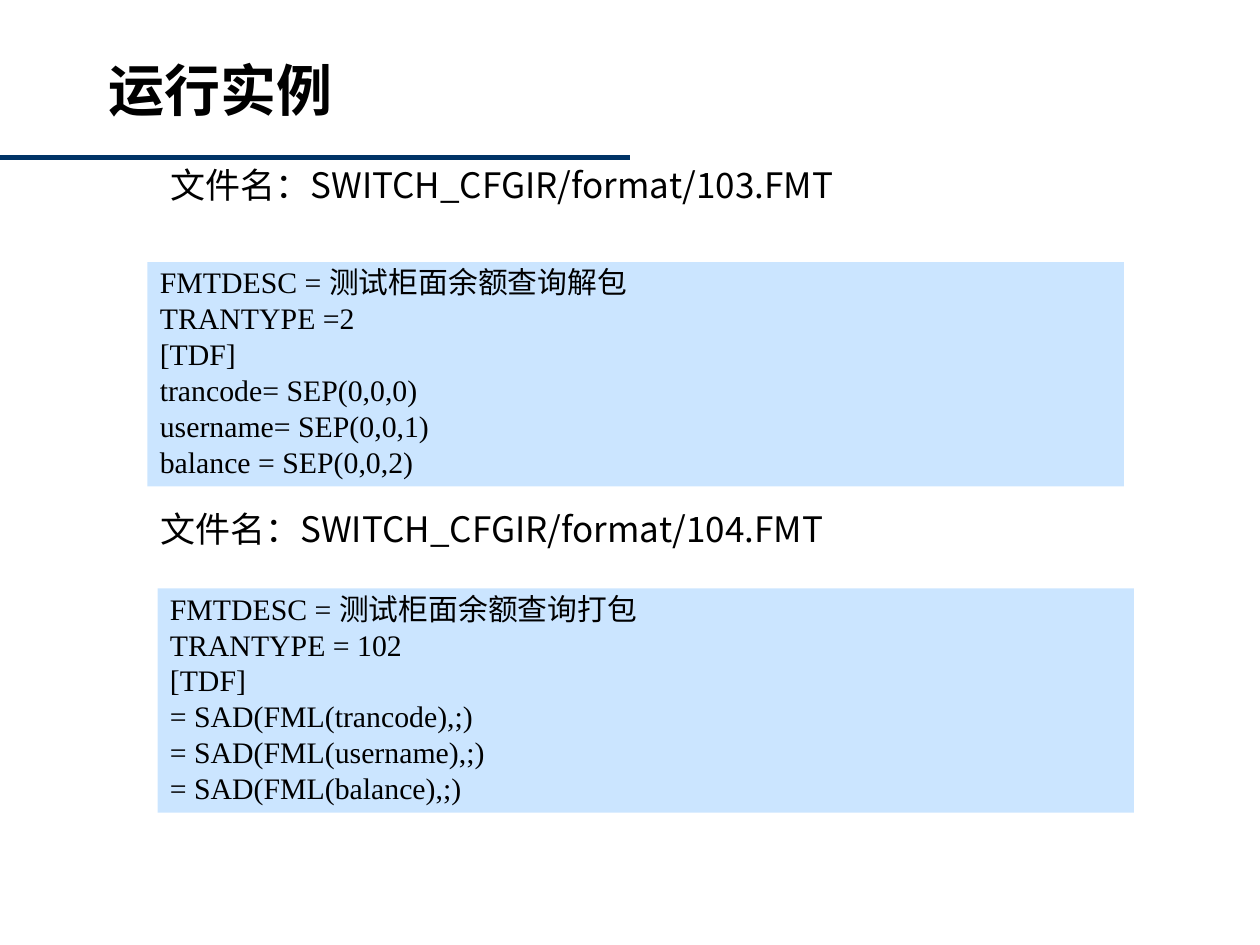
from pptx import Presentation
from pptx.util import Inches, Pt
from pptx.dml.color import RGBColor as RGB
from pptx.enum.shapes import MSO_SHAPE as Kind, MSO_CONNECTOR as Link
from pptx.enum.text import PP_ALIGN as Align, MSO_ANCHOR as Anchor
from pptx.oxml.ns import qn
from lxml.etree import SubElement as Sub

TITLE = "运行实例"
LABEL = "文件名："
FILES = [
    {
        "name": "SWITCH_CFGIR/format/103.FMT",
        "head": (0.75, 1.25),
        "code": (1.17, 2.08),
        "lines": [
            "FMTDESC = 测试柜面余额查询解包",
            "TRANTYPE =2",
            "[TDF]",
            "trancode= SEP(0,0,0)",
            "username= SEP(0,0,1)",
            "balance = SEP(0,0,2)",
        ],
    },
    {
        "name": "SWITCH_CFGIR/format/104.FMT",
        "head": (0.67, 3.98),
        "code": (1.25, 4.67),
        "lines": [
            "FMTDESC = 测试柜面余额查询打包",
            "TRANTYPE = 102",
            "[TDF]",
            "= SAD(FML(trancode),;)",
            "= SAD(FML(username),;)",
            "= SAD(FML(balance),;)",
        ],
    },
]
THEME = {
    "ink": RGB.from_string("000000"),
    "rule": RGB.from_string("003366"),
    "panel": RGB.from_string("99CCFF"),
    "serif": "Times New Roman",
    "sans": "Noto Sans CJK SC",
    "title": Pt(32),
    "head": Pt(20),
    "code": Pt(17),
}
HEAD = (7.08, 0.44)
CODE = (7.75, 1.78)


def style(font, size, bold=False):
    font.name = THEME["serif"]
    font.size = THEME[size]
    font.bold = bold
    font.color.rgb = THEME["ink"]


def add_text(slide, at, size):
    box = slide.shapes.add_textbox(*map(Inches, at + size))
    box.text_frame.word_wrap = True
    return box.text_frame


def add_title(slide):
    frame = add_text(slide, (0, 0.42), (3.5, 0.58))
    frame.vertical_anchor = Anchor.MIDDLE
    para = frame.paragraphs[0]
    para.text = TITLE
    para.alignment = Align.CENTER
    style(para.font, "title", True)


def add_rule(slide):
    ends = map(Inches, (0, 1.25, 5, 1.25))
    rule = slide.shapes.add_connector(Link.STRAIGHT, *ends)
    rule.line.color.rgb = THEME["rule"]
    rule.line.width = Pt(3)
    Sub(rule._element.spPr, qn("a:effectLst"))


def add_head(slide, file):
    frame = add_text(slide, file["head"], HEAD)
    frame.margin_left = Inches(0.6)
    para = frame.paragraphs[0]
    style(para.font, "head")
    para.add_run().text = LABEL
    name = para.add_run()
    name.text = file["name"]
    name.font.name = THEME["sans"]


def add_code(slide, file):
    place = map(Inches, file["code"] + CODE)
    panel = slide.shapes.add_shape(Kind.RECTANGLE, *place)
    panel.shadow.inherit = False
    panel.line.fill.background()
    panel.fill.solid()
    panel.fill.fore_color.rgb = THEME["panel"]
    tint = panel._element.spPr.find(".//" + qn("a:srgbClr"))
    Sub(tint, qn("a:alpha"), val="50000")
    frame = panel.text_frame
    frame.word_wrap = True
    frame.vertical_anchor = Anchor.TOP
    for row, line in enumerate(file["lines"]):
        para = frame.add_paragraph() if row else frame.paragraphs[0]
        para.text = line
        para.alignment = Align.LEFT
        para.line_spacing = 0.9
        para.space_before = Pt(2.1 if row else 0)
        style(para.font, "code")


def main():
    deck = Presentation()
    deck.slide_width, deck.slide_height = Inches(10), Inches(7.5)
    slide = deck.slides.add_slide(deck.slide_layouts[6])
    add_rule(slide)
    add_title(slide)
    for file in FILES:
        add_head(slide, file)
        add_code(slide, file)
    deck.save("out.pptx")


if __name__ == "__main__":
    main()
